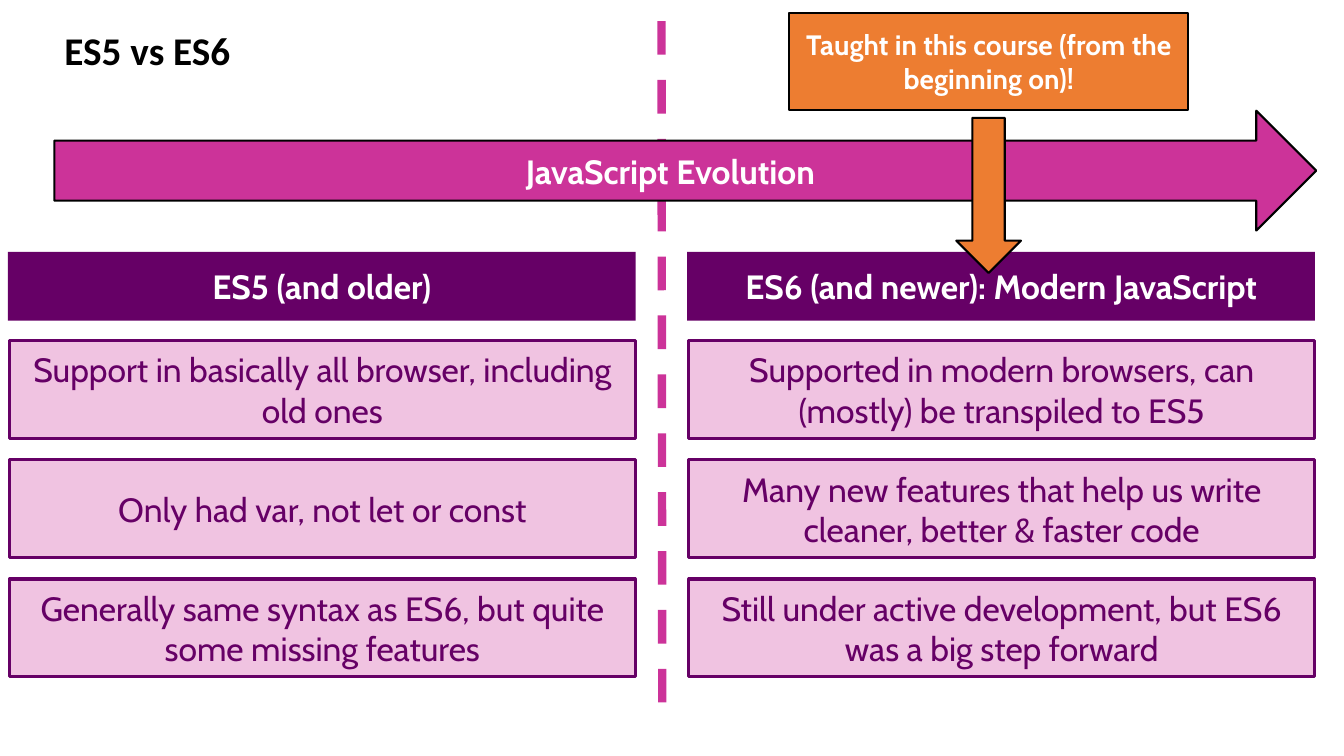
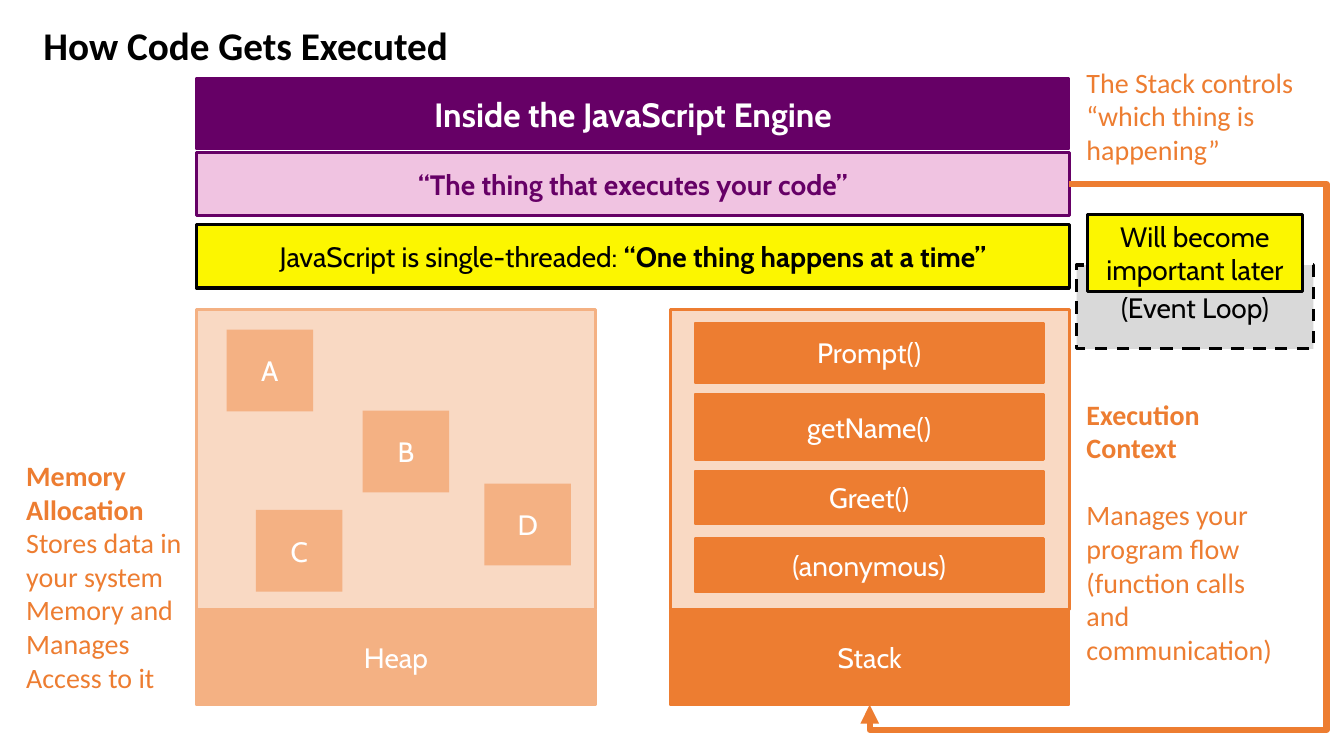
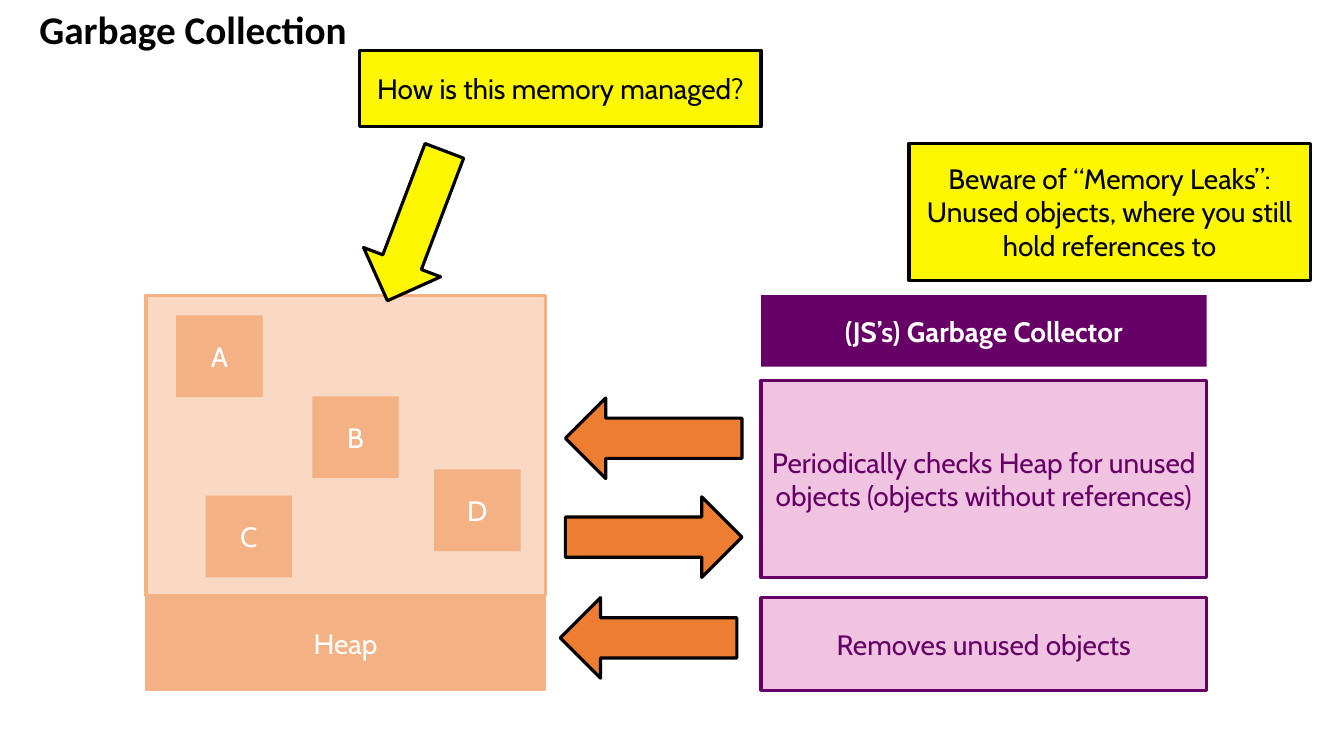
from pptx import Presentation, util as u
from pptx.dml.color import RGBColor
from pptx.enum import dml, shapes, text
from pptx.oxml.ns import qn
from lxml import etree

Cm, Pt = u.Cm, u.Pt

# Shared look
BLACK = RGBColor(0x00, 0x00, 0x00)
WHITE = RGBColor(0xFF, 0xFF, 0xFF)
PURPLE = RGBColor(0x66, 0x00, 0x66)
PINK = RGBColor(0xCC, 0x33, 0x99)
ORANGE = RGBColor(0xED, 0x7D, 0x31)
PEACH = RGBColor(0xF4, 0xB1, 0x83)
YELLOW = RGBColor(0xFC, 0xF6, 0x00)
GREY = RGBColor(0xD9, 0xD9, 0xD9)
HEAD_FONT, BODY_FONT = "Calibri", "Cabin"
PALE = 29  # opacity of tinted panes, in percent

SHAPE = shapes.MSO_SHAPE
CENTER, LEFT = text.PP_ALIGN.CENTER, text.PP_ALIGN.LEFT
DASH = dml.MSO_LINE.DASH


def write(frame, paragraphs, size=20, color=BLACK, font=BODY_FONT, bold=False,
          align=CENTER, anchor=text.MSO_ANCHOR.MIDDLE):
    """Each paragraph is a string or a list of (string, bold) runs."""
    frame.word_wrap = True
    frame.vertical_anchor = anchor
    if isinstance(paragraphs, str):
        paragraphs = [paragraphs]
    for index, content in enumerate(paragraphs):
        paragraph = frame.paragraphs[0] if index == 0 else frame.add_paragraph()
        paragraph.alignment = align
        runs = [(content, bold)] if isinstance(content, str) else content
        for words, strong in runs:
            run = paragraph.add_run()
            run.text = words
            run.font.name, run.font.size = font, Pt(size)
            run.font.bold = strong
            run.font.color.rgb = color


def place(box):
    return [Cm(length) for length in box]


def block(slide, box, fill, words=None, outline=None, width=2.25, kind=SHAPE.RECTANGLE,
          opacity=100, dash=None, turn=0, **style):
    """Draw a filled shape, with a label if words are given."""
    part = slide.shapes.add_shape(kind, *place(box))
    part.shadow.inherit = False
    part.rotation = turn
    part.fill.solid()
    part.fill.fore_color.rgb = fill
    if opacity < 100:
        tint = part.fill._xPr.find(qn("a:solidFill"))[0]
        etree.SubElement(tint, qn("a:alpha")).set("val", str(opacity * 1000))
    if outline is None:
        part.line.fill.background()
    else:
        part.line.color.rgb = outline
        part.line.width = Pt(width)
        if dash:
            part.line.dash_style = dash
    if words:
        write(part.text_frame, words, **style)
    return part


def header(slide, box, words, **options):
    return block(slide, box, PURPLE, words, color=WHITE, bold=True, **options)


def card(slide, box, words, **style):
    return block(slide, box, PINK, words, outline=PURPLE, opacity=PALE, color=PURPLE, **style)


def highlight(slide, box, words=None, **options):
    return block(slide, box, YELLOW, words, outline=BLACK, **options)


def side_note(slide, box, paragraphs):
    note = slide.shapes.add_textbox(*place(box))
    write(note.text_frame, paragraphs, color=ORANGE, font=HEAD_FONT, align=LEFT,
          anchor=text.MSO_ANCHOR.TOP)
    return note


def connect(slide, kind, start, end, color, width):
    link = slide.shapes.add_connector(kind, *place(start + end))
    link.line.color.rgb = color
    link.line.width = Pt(width)
    etree.SubElement(link._element.spPr, qn("a:effectLst"))
    return link


def titled_slide(deck, heading, left, top):
    slide = deck.slides.add_slide(deck.slide_layouts[5])
    title = slide.shapes.title
    title.left, title.top, title.width, title.height = place((left, top, 16.69, 1.45))
    write(title.text_frame, heading, size=28, font=HEAD_FONT, bold=True, align=LEFT,
          anchor=text.MSO_ANCHOR.TOP)
    return slide


# Regions
def version_column(slide, left, top, heading, points):
    header(slide, (left, top, 15.82, 1.73), heading, size=24)
    for row, point in enumerate(points):
        card(slide, (left + 0.04, top + 2.24 + 3 * row, 15.77, 2.46), point, size=24)


def memory_area(slide, left, top, name, color):
    """Tinted pane on a solid, named base; returns the base."""
    width, pane_height = 10.06, 7.57
    block(slide, (left, top, width, pane_height), ORANGE, outline=color, opacity=PALE)
    return block(slide, (left, top + pane_height, width, 2.39), color, name,
                 outline=color, width=1.5, color=WHITE)


def heap(slide, left, top):
    memory_area(slide, left, top, "Heap", PEACH)
    for name, dx, dy in (("A", 0.76, 0.51), ("B", 4.19, 2.55),
                         ("C", 1.5, 5.05), ("D", 7.26, 4.39)):
        block(slide, (left + dx, top + dy, 2.18, 2.06), PEACH, name, color=WHITE)


def call_stack(slide, left, top):
    base = memory_area(slide, left, top, "Stack", ORANGE)
    for call, dy, height in (("Prompt()", 0.33, 1.52), ("getName()", 2.13, 1.65),
                             ("Greet()", 4.06, 1.35), ("(anonymous)", 5.77, 1.35)):
        block(slide, (left + 0.62, top + dy, 8.79, height), ORANGE, call,
              outline=ORANGE, width=1.5, color=WHITE)
    return base


def event_loop(slide, left, top):
    block(slide, (left, top + 1.27, 5.97, 2.11), GREY, "(Event Loop)",
          outline=BLACK, dash=DASH)
    highlight(slide, (left + 0.28, top, 5.41, 1.93), "Will become important later")


def control_arrow(slide, source, target):
    """Route from the source's right side around to the target's bottom."""
    link = connect(slide, shapes.MSO_CONNECTOR.ELBOW, (26.95, 4.64), (21.92, 17.76),
                   ORANGE, 4.5)
    link.begin_connect(source, 3)
    link.end_connect(target, 0 + 2)
    geometry = link._element.spPr.find(qn("a:prstGeom"))
    geometry.set("prst", "bentConnector4")
    guides = geometry.find(qn("a:avLst"))
    if guides is None:
        guides = etree.SubElement(geometry, qn("a:avLst"))
    for name, value in (("adj1", -128900), ("adj2", 104800)):
        guide = etree.SubElement(guides, qn("a:gd"))
        guide.set("name", name)
        guide.set("fmla", f"val {value}")
    tip = etree.SubElement(link.line._get_or_add_ln(), qn("a:tailEnd"))
    tip.set("type", "triangle")


def garbage_collector(slide, left, top):
    width = 11.23
    header(slide, (left, top, width, 1.8), "(JS’s) Garbage Collector")
    card(slide, (left, top + 2.14, width, 4.98),
         "Periodically checks Heap for unused objects (objects without references)")
    card(slide, (left, top + 7.62, width, 2.34), "Removes unused objects")


# Slides
def versions_slide(deck):
    slide = titled_slide(deck, "ES5 vs ES6", 1.37, 0.53)
    connect(slide, shapes.MSO_CONNECTOR.STRAIGHT, (16.67, 0.53), (16.69, 17.98),
            PINK, 6).line.dash_style = DASH
    version_column(slide, 0.2, 6.35, "ES5 (and older)", [
        "Support in basically all browser, including old ones",
        "Only had var, not let or const",
        "Generally same syntax as ES6, but quite some missing features"])
    version_column(slide, 17.32, 6.35, "ES6 (and newer): Modern JavaScript", [
        "Supported in modern browsers, can (mostly) be transpiled to ES5",
        "Many new features that help us write cleaner, better & faster code",
        "Still under active development, but ES6 was a big step forward"])
    block(slide, (1.37, 2.79, 31.8, 3.02), PINK, "JavaScript Evolution", outline=BLACK,
          width=1.5, kind=SHAPE.RIGHT_ARROW, size=24, color=WHITE, bold=True)
    # Course marker
    block(slide, (24.1, 2.97, 1.63, 3.91), ORANGE, outline=BLACK, width=1.5,
          kind=SHAPE.DOWN_ARROW)
    block(slide, (19.89, 0.33, 10.06, 2.44), ORANGE,
          "Taught in this course (from the beginning on)!",
          outline=BLACK, width=1.5, color=WHITE, bold=True)


def execution_slide(deck):
    slide = titled_slide(deck, "How Code Gets Executed", 0.84, 0.41)
    # Engine bands
    left, width = 4.95, 22
    header(slide, (left, 1.98, width, 1.78), "Inside the JavaScript Engine",
           outline=PURPLE, width=1.5, size=24)
    executor = card(slide, (left, 3.84, width, 1.6),
                    "“The thing that executes your code”", bold=True)
    highlight(slide, (left, 5.66, width, 1.6),
              [[("JavaScript is single-threaded: ", False),
                ("“One thing happens at a time”", True)]])
    # Memory and program flow
    heap(slide, left, 7.8)
    stack = call_stack(slide, 16.89, 7.8)
    control_arrow(slide, executor, stack)
    # Explanations
    side_note(slide, (27.13, 1.52, 5.97, 2.82),
              "The Stack controls “which thing is happening”")
    side_note(slide, (0.41, 11.43, 4.42, 7.09), [
        [("Memory", True)], [("Allocation", True)], "Stores data in your system",
        "Memory and", "Manages", "Access to it"])
    context = side_note(slide, (27.13, 9.88, 5.97, 7.09), [
        [("Execution", True)], [("Context", True)], "Manages your program flow",
        "(function calls", "and communication)"])
    context.text_frame.paragraphs[2].space_before = Pt(24)
    event_loop(slide, 27.13, 5.41)


def garbage_slide(deck):
    slide = titled_slide(deck, "Garbage Collection", 0.74, 0)
    highlight(slide, (9.07, 1.27, 10.11, 1.93), "How is this memory managed?")
    heap(slide, 3.68, 7.44)
    highlight(slide, (8.46, 4.65, 4.04, 2.08), kind=SHAPE.RIGHT_ARROW, turn=110.8)
    garbage_collector(slide, 19.18, 7.44)
    # Exchange between heap and collector
    for kind, left, top in ((SHAPE.LEFT_ARROW, 14.25, 10.03),
                            (SHAPE.RIGHT_ARROW, 14.25, 12.52),
                            (SHAPE.LEFT_ARROW, 14.12, 15.06)):
        block(slide, (left, top, 4.45, 2.03), ORANGE, outline=BLACK, kind=kind)
    highlight(slide, (22.91, 3.61, 10.11, 3.45), [
        "Beware of “Memory Leaks”:",
        "Unused objects, where you still hold references to"])


def main():
    deck = Presentation()
    deck.slide_width, deck.slide_height = Cm(33.87), Cm(19.05)
    versions_slide(deck)
    execution_slide(deck)
    garbage_slide(deck)
    deck.save("out.pptx")


if __name__ == "__main__":
    main()
